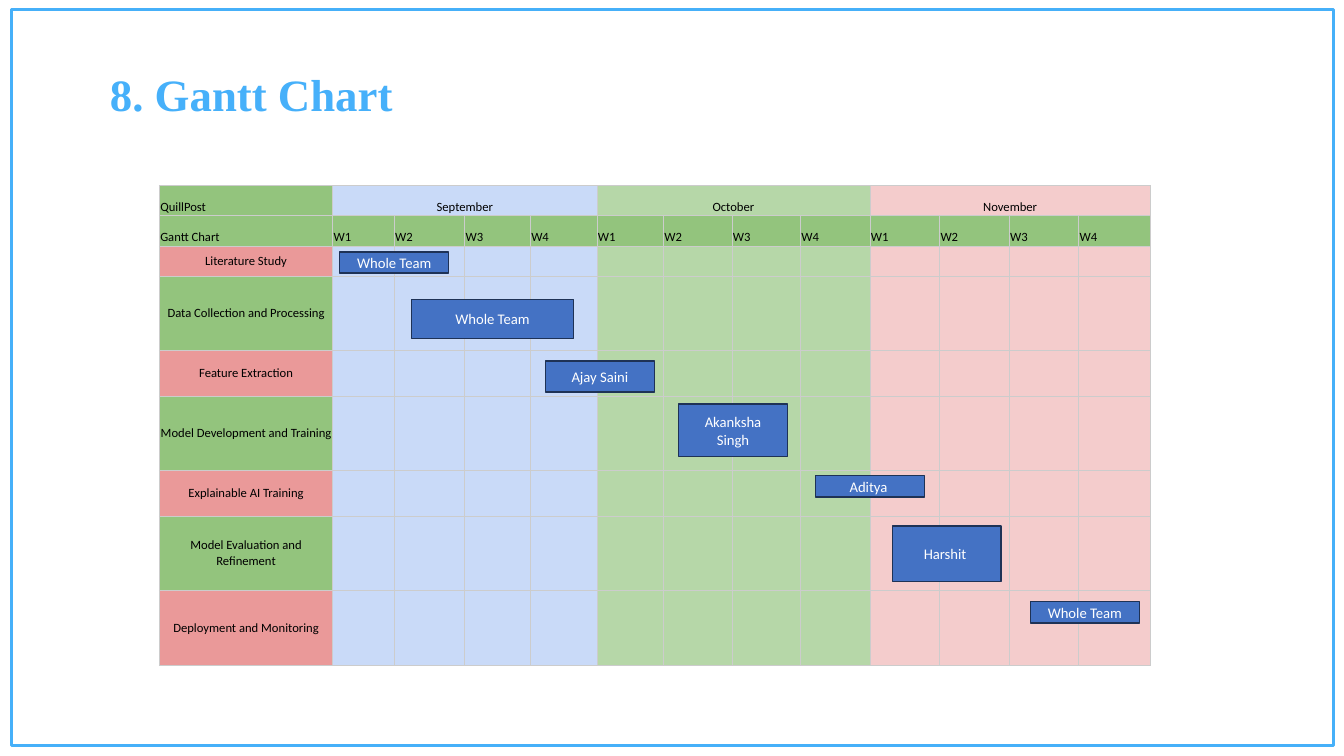
from lxml import etree
from pptx import Presentation
from pptx.dml.color import RGBColor
from pptx.enum.shapes import MSO_SHAPE
from pptx.enum.text import MSO_ANCHOR, PP_ALIGN
from pptx.oxml.ns import qn
from pptx.util import Inches, Pt

RECT = MSO_SHAPE.RECTANGLE
TOP, MIDDLE, BOTTOM = MSO_ANCHOR.TOP, MSO_ANCHOR.MIDDLE, MSO_ANCHOR.BOTTOM
LEFT, CENTER = PP_ALIGN.LEFT, PP_ALIGN.CENTER

BLACK = RGBColor(0x00, 0x00, 0x00)
WHITE = RGBColor(0xFF, 0xFF, 0xFF)
FRAME_BLUE = RGBColor(0x46, 0xB0, 0xF9)
TITLE_BLUE = RGBColor(0x46, 0xB0, 0xFA)
BAR_BLUE = RGBColor(0x44, 0x72, 0xC4)
BAR_EDGE = RGBColor(0x1E, 0x32, 0x56)
GRID_GREY = RGBColor(0xCC, 0xCC, 0xCC)
GREEN = RGBColor(0x93, 0xC4, 0x7D)
RED = RGBColor(0xEA, 0x99, 0x99)
PALE_BLUE = RGBColor(0xC9, 0xDA, 0xF8)
PALE_GREEN = RGBColor(0xB6, 0xD7, 0xA8)
PALE_RED = RGBColor(0xF4, 0xCC, 0xCC)

MONTHS = [("September", PALE_BLUE), ("October", PALE_GREEN), ("November", PALE_RED)]
WEEKS = 4
TASKS = [
    "Literature Study",
    "Data Collection and Processing",
    "Feature Extraction",
    "Model Development and Training",
    "Explainable AI Training",
    "Model Evaluation and Refinement",
    "Deployment and Monitoring",
]
COLUMN_WIDTHS = [1.72, 0.61, 0.7, 0.65, 0.66, 0.66, 0.68, 0.68,
                 0.69, 0.69, 0.69, 0.69, 0.71]
ROW_HEIGHTS = [0.3, 0.3, 0.3, 0.74, 0.45, 0.74, 0.45, 0.74, 0.74]
BARS = [  # label, left, top, width, height
    ("Whole Team", 3.37, 2.5, 1.08, 0.21),
    ("Whole Team", 4.08, 2.97, 1.61, 0.39),
    ("Ajay Saini", 5.41, 3.58, 1.08, 0.31),
    ("Akanksha Singh", 6.73, 4.01, 1.08, 0.52),
    ("Aditya ", 8.09, 4.72, 1.08, 0.21),
    ("Harshit ", 8.85, 5.22, 1.08, 0.55),
    ("Whole Team", 10.22, 5.97, 1.08, 0.21),
]


def write(tf, text, size=9, font="Calibri", color=BLACK, bold=False, align=LEFT):
    p = tf.paragraphs[0]
    p.alignment = align
    if not text:
        # An empty cell still needs a small font, or its row grows.
        etree.SubElement(p._p, qn("a:endParaRPr"), sz=str(size * 100))
        return
    r = p.add_run()
    r.text = text
    r.font.size = Pt(size)
    r.font.name = font
    r.font.bold = bold
    r.font.color.rgb = color


def add_rect(slide, left, top, width, height, line, weight, fill=None):
    sp = slide.shapes.add_shape(RECT, Inches(left), Inches(top),
                                Inches(width), Inches(height))
    sp.shadow.inherit = False
    sp.line.color.rgb = line
    sp.line.width = Pt(weight)
    if fill is None:
        sp.fill.background()
    else:
        sp.fill.solid()
        sp.fill.fore_color.rgb = fill
    return sp


def add_title(slide, text):
    title = slide.shapes.title
    title.left, title.top = Inches(0.99), Inches(0.61)
    title.width, title.height = Inches(8.24), Inches(0.64)
    title.text_frame.vertical_anchor = TOP
    write(title.text_frame, text, size=32, font="Times New Roman",
          color=TITLE_BLUE, bold=True)


def add_bar(slide, label, left, top, width, height):
    sp = add_rect(slide, left, top, width, height, BAR_EDGE, 1, BAR_BLUE)
    tf = sp.text_frame
    tf.word_wrap = True
    tf.vertical_anchor = MIDDLE
    write(tf, label, size=10.5, color=WHITE, align=CENTER)


def set_borders(cell):
    """Draw a thin grey line on all four sides of the cell."""
    tc_pr = cell._tc.get_or_add_tcPr()
    for i, side in enumerate(("a:lnL", "a:lnR", "a:lnT", "a:lnB")):
        ln = etree.Element(qn(side), w=str(Pt(0.5)))
        fill = etree.SubElement(ln, qn("a:solidFill"))
        etree.SubElement(fill, qn("a:srgbClr"), val=str(GRID_GREY))
        tc_pr.insert(i, ln)


def fill_cell(cell, fill, text="", anchor=BOTTOM, align=LEFT):
    cell.fill.solid()
    cell.fill.fore_color.rgb = fill
    cell.margin_left = cell.margin_right = Inches(0.01)
    cell.margin_top = cell.margin_bottom = Inches(0.01)
    cell.vertical_anchor = anchor
    write(cell.text_frame, text, align=align)
    set_borders(cell)


def add_schedule(slide):
    frame = slide.shapes.add_table(
        len(ROW_HEIGHTS), len(COLUMN_WIDTHS), Inches(1.58), Inches(1.84),
        Inches(sum(COLUMN_WIDTHS)), Inches(sum(ROW_HEIGHTS)))
    table = frame.table
    table.first_row = table.horz_banding = False
    for column, width in zip(table.columns, COLUMN_WIDTHS):
        column.width = Inches(width)
    for row, height in zip(table.rows, ROW_HEIGHTS):
        row.height = Inches(height)

    fill_cell(table.cell(0, 0), GREEN, "QuillPost")
    fill_cell(table.cell(1, 0), GREEN, "Gantt Chart")
    for i, task in enumerate(TASKS):
        fill_cell(table.cell(i + 2, 0), GREEN if i % 2 else RED, task, MIDDLE, CENTER)

    for m, (month, shade) in enumerate(MONTHS):
        first = 1 + m * WEEKS
        table.cell(0, first).merge(table.cell(0, first + WEEKS - 1))
        for week in range(WEEKS):
            col = first + week
            fill_cell(table.cell(0, col), shade, "" if week else month, align=CENTER)
            fill_cell(table.cell(1, col), GREEN, f"W{week + 1}")
            for row in range(2, len(ROW_HEIGHTS)):
                fill_cell(table.cell(row, col), shade)


def main():
    prs = Presentation()
    prs.slide_width, prs.slide_height = Inches(13.33), Inches(7.5)
    title_only = prs.slide_layouts[5]
    slide = prs.slides.add_slide(title_only)
    add_rect(slide, 0.11, 0.09, 13.12, 7.31, FRAME_BLUE, 2.25)
    add_schedule(slide)
    add_title(slide, "8. Gantt Chart")
    for bar in BARS:
        add_bar(slide, *bar)
    prs.save("out.pptx")


if __name__ == "__main__":
    main()
